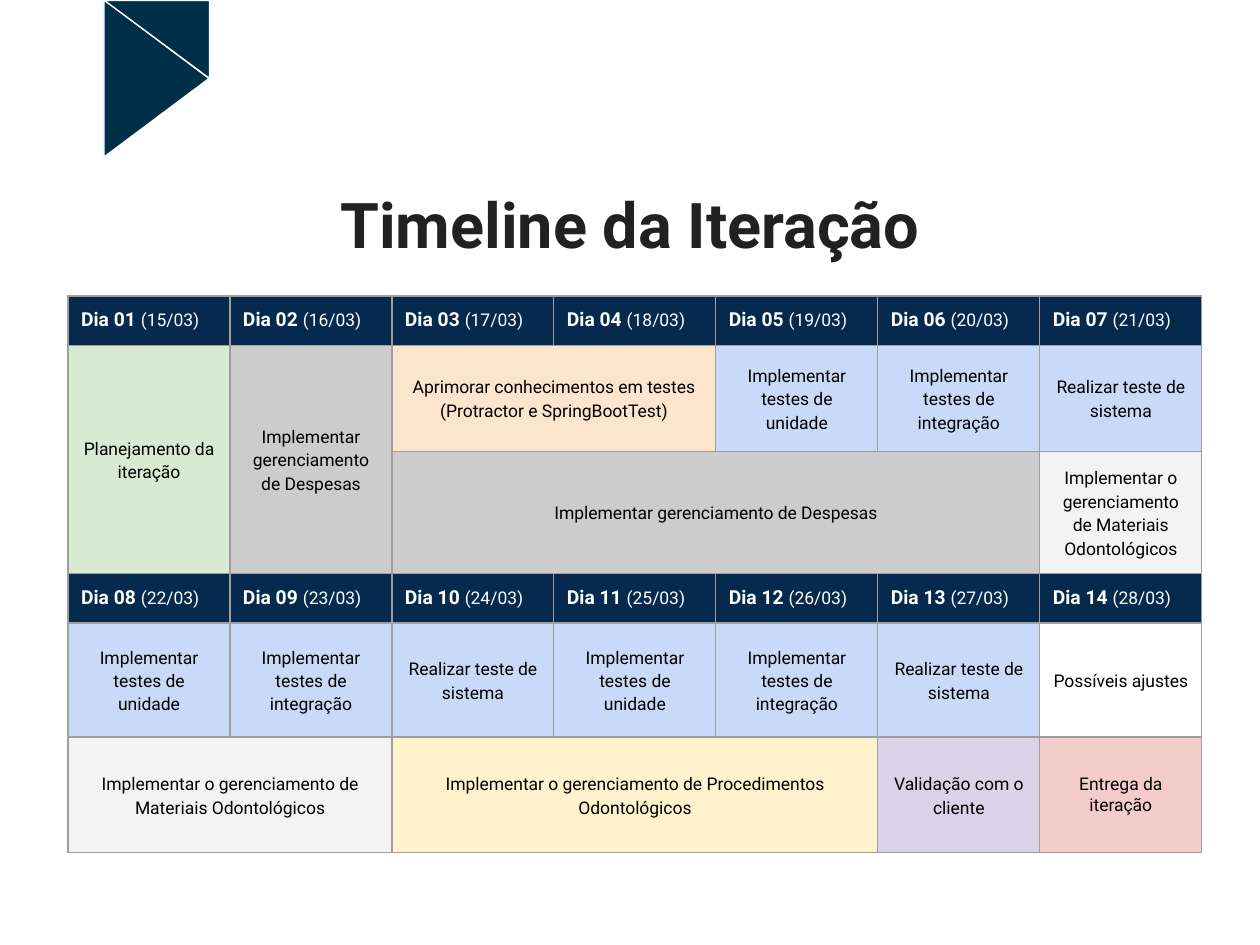
from dataclasses import dataclass

from pptx import Presentation
from pptx.dml.color import RGBColor
from pptx.enum.shapes import MSO_SHAPE as Shape
from pptx.enum.text import MSO_ANCHOR as Anchor, PP_ALIGN as Align
from pptx.oxml import parse_xml
from pptx.oxml.ns import nsdecls
from pptx.util import Emu, Pt


@dataclass
class Theme:
    font: str = "Roboto"
    title_size: int = 36
    day_size: int = 11
    text_size: int = 10
    title: str = "212121"
    ribbon: str = "003049"
    header: str = "052A4D"
    border: str = "9E9E9E"
    white: str = "FFFFFF"
    black: str = "000000"
    green: str = "D9EAD3"
    gray: str = "CCCCCC"
    orange: str = "FCE5CD"
    blue: str = "C9DAF8"
    light: str = "F3F3F3"
    yellow: str = "FFF2CC"
    purple: str = "D9D2E9"
    red: str = "F4CCCC"


theme = Theme()


def px(length):
    return Emu(round(length * 914400 / 126))


def set_font(font, size, color, bold=False):
    font.name = theme.font
    font.size = Pt(size)
    font.bold = bold
    font.color.rgb = RGBColor.from_string(color)


deck = Presentation()
deck.slide_width, deck.slide_height = px(1260), px(945)
page = deck.slides.add_slide(deck.slide_layouts[6])

# Folded ribbon at the top
for kind, box, rotation, flipped in (
    (Shape.ISOSCELES_TRIANGLE, (78, 26, 157, 105), 90, False),
    (Shape.RIGHT_TRIANGLE, (118, -13, 78, 105), 270, True),
):
    fold = page.shapes.add_shape(kind, *map(px, box))
    fold.rotation = rotation
    if flipped:
        fold._element.spPr.xfrm.set("flipH", "1")
    fold.shadow.inherit = False
    fold.fill.solid()
    fold.fill.fore_color.rgb = RGBColor.from_string(theme.ribbon)
    fold.line.color.rgb = RGBColor.from_string(theme.white)
    fold.line.width = Pt(0.75)

# Title
title = page.shapes.add_textbox(px(105), px(161), px(1050), px(106)).text_frame
title.word_wrap = True
title.vertical_anchor = Anchor.BOTTOM
para = title.paragraphs[0]
para.text = "Timeline da Iteração"
para.alignment = Align.CENTER
set_font(para.font, theme.title_size, theme.title, True)

# Table grid
DAYS = 7
COLUMN = 162
ROWS = (48, 106, 110, 48, 114, 116)
table = page.shapes.add_table(
    len(ROWS), DAYS, px(68), px(296), px(DAYS * COLUMN), px(sum(ROWS))
).table
for column in table.columns:
    column.width = px(COLUMN)
for row, height in zip(table.rows, ROWS):
    row.height = px(height)

for cell in table.iter_cells():
    cell.margin_left = cell.margin_right = px(13)
    cell.margin_top = cell.margin_bottom = px(13)
    for side in ("lnL", "lnR", "lnT", "lnB"):
        cell._tc.get_or_add_tcPr().append(parse_xml(
            f'<a:{side} {nsdecls("a")} w="{Pt(0.75)}"><a:solidFill>'
            f'<a:srgbClr val="{theme.border}"/></a:solidFill></a:{side}>'
        ))
    cell.fill.solid()
    cell.fill.fore_color.rgb = RGBColor.from_string(theme.header)

# Day headers, one week in each header row
for week, row in enumerate((0, 3)):
    for column in range(DAYS):
        day = week * DAYS + column + 1
        para = table.cell(row, column).text_frame.paragraphs[0]
        for text, size, bold in (
            (f"Dia {day:02} ", theme.day_size, True),
            (f"({day + 14}/03)", theme.text_size, False),
        ):
            span = para.add_run()
            span.text = text
            set_font(span.font, size, theme.white, bold)

# Activities: row, column, rows spanned, columns spanned, text, fill
UNIT = "Implementar testes de unidade"
INTEGRATION = "Implementar testes de integração"
SYSTEM = "Realizar teste de sistema"
EXPENSES = "Implementar gerenciamento de Despesas"
MATERIALS = "Implementar o gerenciamento de Materiais Odontológicos"
PROCEDURES = "Implementar o gerenciamento de Procedimentos Odontológicos"
DELIVERY = "Entrega da iteração"
STUDY = "Aprimorar conhecimentos em testes (Protractor e SpringBootTest)"

activities = [
    (1, 0, 2, 1, "Planejamento da iteração", theme.green),
    (1, 1, 2, 1, EXPENSES, theme.gray),
    (1, 2, 1, 2, STUDY, theme.orange),
    (2, 2, 1, 4, EXPENSES, theme.gray),
    (2, 6, 1, 1, MATERIALS, theme.light),
    (4, 6, 1, 1, "Possíveis ajustes", theme.white),
    (5, 0, 1, 2, MATERIALS, theme.light),
    (5, 2, 1, 3, PROCEDURES, theme.yellow),
    (5, 5, 1, 1, "Validação com o cliente", theme.purple),
    (5, 6, 1, 1, DELIVERY, theme.red),
]
for row, first in ((1, 4), (4, 0), (4, 3)):
    for step, text in enumerate((UNIT, INTEGRATION, SYSTEM)):
        activities.append((row, first + step, 1, 1, text, theme.blue))

for row, column, tall, wide, text, fill in activities:
    cell = table.cell(row, column)
    if tall * wide > 1:
        cell.merge(table.cell(row + tall - 1, column + wide - 1))
    cell.fill.fore_color.rgb = RGBColor.from_string(fill)
    cell.vertical_anchor = Anchor.MIDDLE
    para = cell.text_frame.paragraphs[0]
    para.text = text
    para.alignment = Align.CENTER
    para.line_spacing = 1.0 if text == DELIVERY else 1.15
    set_font(para.font, theme.text_size, theme.black)

deck.save("out.pptx")
